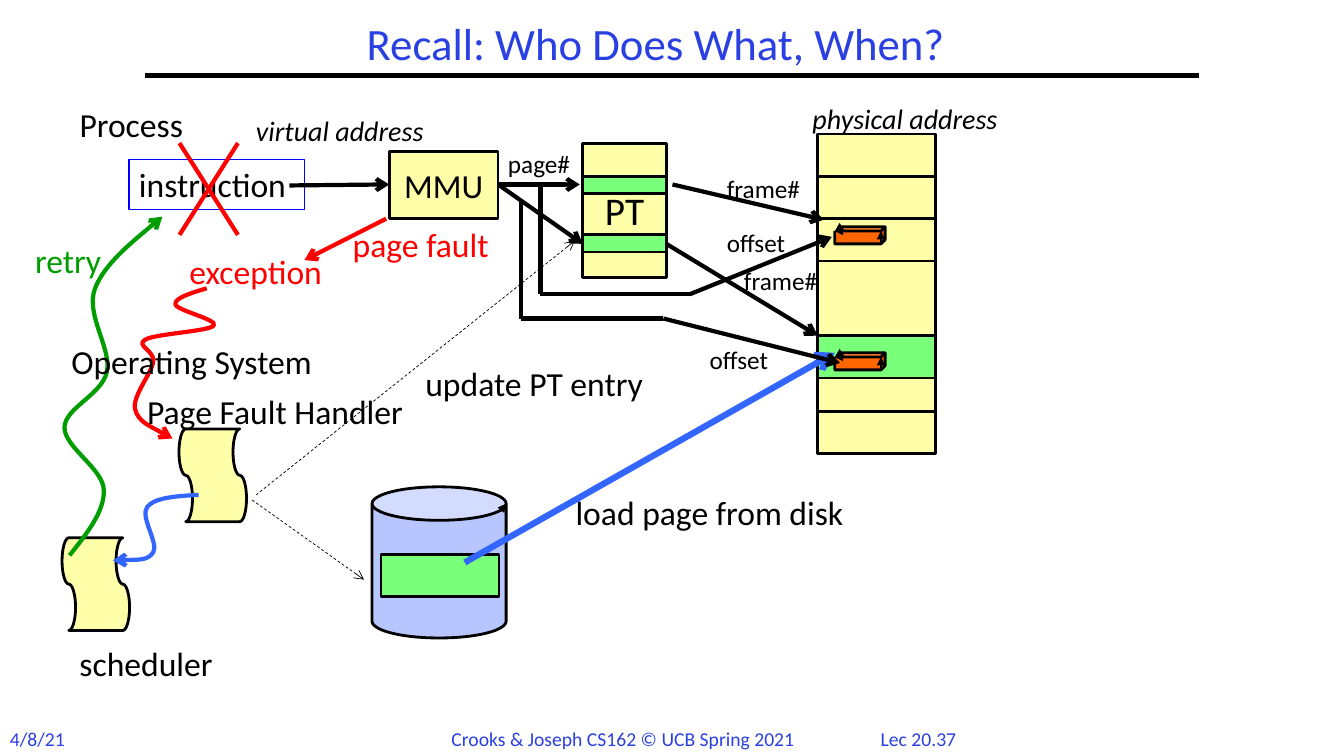
"""Build the slide that recalls the steps of handling a page fault."""
from itertools import pairwise
from lxml.etree import SubElement
from pptx import Presentation
from pptx.dml.color import RGBColor
from pptx.enum.dml import MSO_LINE_DASH_STYLE as DASH
from pptx.enum.shapes import MSO_CONNECTOR as CONNECTOR, MSO_SHAPE as SHAPE
from pptx.enum.text import MSO_ANCHOR, MSO_AUTO_SIZE, PP_ALIGN
from pptx.oxml.ns import qn
from pptx.util import Inches, Pt

BLACK = RGBColor(0, 0, 0)
RED = RGBColor(0xFF, 0, 0)
GREEN = RGBColor(0, 0x9D, 0)
BLUE = RGBColor(0x33, 0x66, 0xFF)
FRAME_BLUE = RGBColor(0, 0, 0xFF)
TITLE_BLUE = RGBColor(0x2A, 0x40, 0xE2)
YELLOW = RGBColor(0xFF, 0xFF, 0xAA)
PAGE_GREEN = RGBColor(0x79, 0xFF, 0x79)
DISK_BLUE = RGBColor(0xB7, 0xC6, 0xFE)
ORANGE = RGBColor(0xFF, 0x66, 0)


def write(shape, text, size, color, align=PP_ALIGN.LEFT, italic=False):
    shape.text_frame.text = text
    shape.text_frame.word_wrap = True
    paragraph = shape.text_frame.paragraphs[0]
    paragraph.alignment = align
    formats = {"name": "Calibri", "size": Pt(size), "italic": italic}
    for name, value in formats.items():
        setattr(paragraph.font, name, value)
    paragraph.font.color.rgb = color


def style_line(shape, color, width, end=None, kind="arrow"):
    shape.line.color.rgb = color
    shape.line.width = Pt(width)
    if end:
        SubElement(shape.line._get_or_add_ln(), qn(f"a:{end}"), type=kind)


presentation = Presentation()
presentation.slide_width = Inches(13.33)
presentation.slide_height = Inches(7.5)
slide = presentation.slides.add_slide(presentation.slide_layouts[5])
shapes = slide.shapes

title = shapes.title
title_frame = {"left": 2.42, "top": 0.17, "width": 8.17, "height": 0.58}
for name, value in title_frame.items():
    setattr(title, name, Inches(value))
write(title, "Recall: Who Does What, When?", 32, TITLE_BLUE, PP_ALIGN.CENTER)
title.text_frame.auto_size = MSO_AUTO_SIZE.NONE
title.text_frame.vertical_anchor = MSO_ANCHOR.MIDDLE
title.text_frame.paragraphs[0].line_spacing = 0.9

memory_left, memory_top, memory_height = 8.11, 1.33, 3.17
page_width, page_height = 1.17, 0.42
loaded_page_top = 3.33
table_left, table_width, entry_height = 5.78, 0.83, 0.17
entry_tops = [1.75, 2.33]
last_page_top = memory_top + memory_height - page_height
page_tops = [memory_top + page_height, memory_top + 2 * page_height, last_page_top]

boxes = [(memory_left, memory_top, page_width, memory_height, YELLOW)]
boxes += [(memory_left, top, page_width, page_height, YELLOW) for top in page_tops]
boxes += [(memory_left, loaded_page_top, page_width, page_height, PAGE_GREEN)]
solids = [(SHAPE.RECTANGLE, *box, "") for box in boxes]
solids += [(SHAPE.RECTANGLE, 3.86, 1.5, 1.08, 0.67, YELLOW, "MMU"),
           (SHAPE.RECTANGLE, table_left, 1.42, table_width, 1.33, YELLOW, "PT")]
solids += [(SHAPE.RECTANGLE, table_left, top, table_width, entry_height, PAGE_GREEN, "")
           for top in entry_tops]
solids += [(SHAPE.CAN, 3.69, 4.83, 1.33, 1.5, DISK_BLUE, ""),
           (SHAPE.RECTANGLE, 3.78, 5.5, page_width, page_height, PAGE_GREEN, "")]
solids += [(SHAPE.FLOWCHART_PUNCHED_TAPE, left, top, 0.92, 0.67, YELLOW, "")
           for left, top in [(1.65, 4.38), (0.49, 5.46)]]
solids += [(SHAPE.CUBE, 8.28, top, 0.5, 0.17, ORANGE, "") for top in (2.25, 3.5)]
text_sizes = {"MMU": 24, "PT": 28}
for kind, left, top, width, height, fill, text in solids:
    solid = shapes.add_shape(kind, Inches(left), Inches(top), Inches(width), Inches(height))
    solid.shadow.inherit = False
    solid.fill.solid()
    solid.fill.fore_color.rgb = fill
    style_line(solid, BLACK, 2, "headEnd", "triangle")
    if kind == SHAPE.FLOWCHART_PUNCHED_TAPE:
        solid.rotation = 90
    if text:
        write(solid, text, text_sizes[text], BLACK, PP_ALIGN.CENTER)

instruction = shapes.add_shape(SHAPE.RECTANGLE, Inches(1.28), Inches(1.58), Inches(1.74), Inches(0.5))
instruction.shadow.inherit = False
instruction.fill.background()
style_line(instruction, FRAME_BLUE, 0.75)
write(instruction, "instruction", 24, BLACK)

mmu_exit = (4.94, 1.83)
handler_exit = (2.5, 4.96)
cross_left, cross_right, cross_top, cross_bottom = 1.78, 2.36, 1.42, 2.33
plain_routes = {
    "title rule": (BLACK, [(1.44, 0.75), (11.89, 0.75)]),
    "cross down": (RED, [(cross_left, cross_top), (cross_right, cross_bottom)]),
    "cross up": (RED, [(cross_right, cross_top), (cross_left, cross_bottom)]),
}
arrow_routes = {
    "load page": (BLUE, [(4.61, 5.58), (8.28, 3.5)]),
    "virtual address": (BLACK, [(2.87, 1.84), (3.86, 1.83)]),
    "first entry": (BLACK, [mmu_exit, (5.75, 1.83)]),
    "second entry": (BLACK, [mmu_exit, (table_left, 2.42)]),
    "first frame": (BLACK, [(6.67, 1.83), (8.17, 2.18)]),
    "second frame": (BLACK, [(6.61, 2.42), (memory_left, loaded_page_top)]),
    "first offset": (BLACK, [(5.36, 1.83), (5.36, 2.92), (6.84, 2.92), (8.25, 2.35)]),
    "second offset": (BLACK, [(5.17, 2), (5.17, 3.16), (6.58, 3.16), (8.33, 3.6)]),
    "page fault": (RED, [(3.83, 2.17), (3.02, 2.58)]),
    "read disk": (BLACK, [handler_exit, (3.61, 5.75)]),
    "update entry": (BLACK, [(2.54, 4.91), (5.7, 2.39)]),
}
line_widths = {"load page": 4.5, "read disk": 0.5, "update entry": 0.5}
for routes, last_end in [(plain_routes, None), (arrow_routes, "tailEnd")]:
    for route, (color, stops) in routes.items():
        width = line_widths.get(route, 3)
        for start, stop in pairwise(stops):
            line = shapes.add_connector(CONNECTOR.STRAIGHT, *map(Inches, start + stop))
            if width == 0.5:
                line.line.dash_style = DASH.DASH
            style_line(line, color, width, last_end if stop == stops[-1] else None)
            SubElement(line._element.spPr, qn("a:effectLst"))

exception_knots = [(2.05, 2.86), (1.74, 3.02), (2.12, 3.23), (1.44, 3.37),
                   (1.52, 3.59), (1.34, 4.06), (1.71, 4.35)]
schedule_knots = [(1.97, 4.91), (1.46, 5.03), (1.52, 5.48), (1.12, 5.56)]
retry_knots = [(0.69, 5.51), (1.03, 4.86), (0.64, 4.24), (1.06, 3.69), (0.94, 2.87), (1.61, 2.15)]
for color, knots in [(RED, exception_knots), (BLUE, schedule_knots), (GREEN, retry_knots)]:
    tangents = [((after[0] - before[0]) / 6, (after[1] - before[1]) / 6)
                for before, after in zip(knots, knots[2:])]
    arrivals = [(x - dx, y - dy) for (x, y), (dx, dy) in zip(knots[1:], tangents)] + [knots[-1]]
    departures = [(x + dx, y + dy) for (x, y), (dx, dy) in zip(knots[1:], tangents)]
    first_departure = tuple((a + b) / 2 for a, b in zip(knots[0], arrivals[0]))
    triples = list(zip([first_departure] + departures, arrivals, knots[1:]))
    builder = shapes.build_freeform(*map(Inches, knots[0]))
    builder.add_line_segments([tuple(map(Inches, point)) for triple in triples for point in triple], close=False)
    curve = builder.convert_to_shape()
    curve.shadow.inherit = False
    curve.fill.background()
    style_line(curve, color, 3, "tailEnd")
    outline = next(curve._element.iter(qn("a:moveTo"))).getparent()
    segments = outline.findall(qn("a:lnTo"))
    for first in range(0, len(segments), 3):
        bezier = SubElement(outline, qn("a:cubicBezTo"))
        for segment in segments[first:first + 3]:
            bezier.append(segment[0])
            outline.remove(segment)

step_labels = [("Process", 0.69, 0.98, 1.42), ("Operating System", 0.61, 3.33, 2.9),
               ("Page Fault Handler", 1.36, 3.83, 3.11), ("update PT entry", 4.12, 3.55, 2.59),
               ("load page from disk", 5.61, 4.83, 3.14), ("scheduler", 0.69, 6.33, 1.66)]
fault_labels = [("page fault", 3.4, 2.17, 1.68), ("exception", 1.78, 2.44, 1.64)]
retry_labels = [("retry", 0.25, 2.33, 0.89)]
address_labels = [("virtual address", 2.44, 1.08, 2.03), ("physical address", 7.96, 0.96, 2.29)]
part_labels = [("page#", 4.94, 1.42, 0.9), ("frame#", 7.11, 1.67, 0.99), ("offset", 7.11, 2.21, 0.81),
               ("frame#", 7.28, 2.58, 0.99), ("offset", 6.94, 3.37, 0.81)]
footer_top = 7.16
footer_labels = [("4/8/21", 0, footer_top, 0.8), ("Lec 20.37", 8.5, footer_top, 1.22),
                 ("Crooks & Joseph CS162 © UCB Spring 2021", 4.38, footer_top, 3.76)]
label_groups = [(step_labels, 24, 0.5, BLACK), (fault_labels, 24, 0.5, RED),
                (retry_labels, 24, 0.5, GREEN), (address_labels, 20, 0.44, BLACK),
                (part_labels, 18, 0.4, BLACK), (footer_labels, 14, 0.34, TITLE_BLUE)]
for labels, size, height, color in label_groups:
    for text, left, top, width in labels:
        label = shapes.add_textbox(Inches(left), Inches(top), Inches(width), Inches(height))
        align = PP_ALIGN.CENTER if text == "Lec 20.37" else PP_ALIGN.LEFT
        write(label, text, size, color, align, italic=labels is address_labels)

presentation.save("out.pptx")
